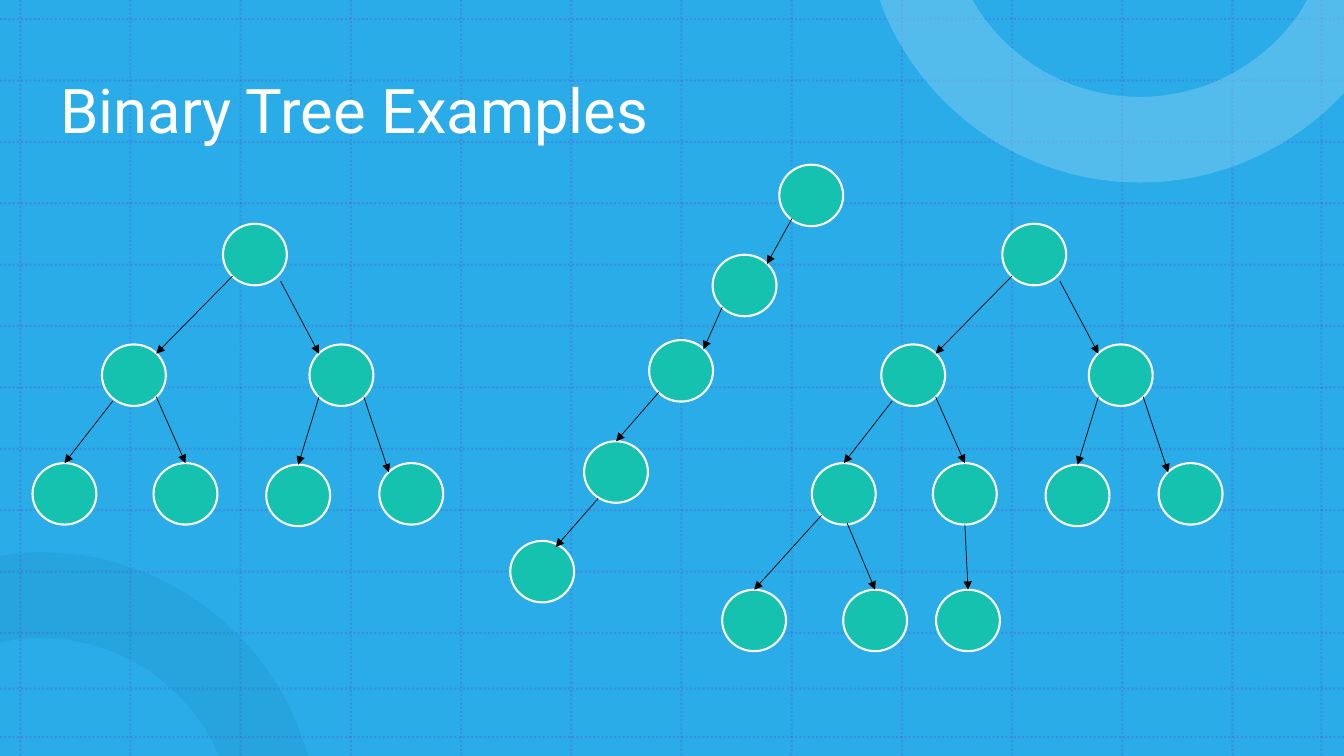
from dataclasses import dataclass

from lxml import etree
from pptx import Presentation
from pptx.dml.color import RGBColor
from pptx.enum.dml import MSO_LINE
from pptx.enum.shapes import MSO_CONNECTOR, MSO_SHAPE
from pptx.enum.text import MSO_ANCHOR, MSO_AUTO_SIZE, PP_ALIGN
from pptx.oxml.ns import qn
from pptx.shapes.autoshape import Shape
from pptx.shapes.connector import Connector
from pptx.slide import Slide, SlideMaster
from pptx.util import Cm, Pt

STRAIGHT = MSO_CONNECTOR.STRAIGHT
OVAL = MSO_SHAPE.OVAL
RECTANGLE = MSO_SHAPE.RECTANGLE
DOTTED = MSO_LINE.ROUND_DOT
MIDDLE = MSO_ANCHOR.MIDDLE
LEFT = PP_ALIGN.LEFT
NO_AUTOFIT = MSO_AUTO_SIZE.NONE

COLORS = {
    "background": "29ACE7", "grid": "8217D5", "dark_ring": "1585B7",
    "light_ring": "7FCDF1", "node": "15C1AF", "white": "FFFFFF", "arrow": "000000",
}
Point = tuple[float, float]

# Lengths in centimetres
SLIDE_W, SLIDE_H = 33.87, 19.05
NODE_W, NODE_H = 1.61, 1.55
GRID_XS = [0.51 + 30.55 * i / 11 for i in range(12)] + [33.3]
GRID_YS = [0.48 + 15.47 * i / 10 for i in range(11)] + [17.35, 18.57]

# Places on a node, as fractions of its width and height
TOP, BOTTOM = (0.5, 0), (0.5, 1)
TOP_LEFT, TOP_RIGHT = (0.15, 0.15), (0.85, 0.15)
BOTTOM_LEFT, BOTTOM_RIGHT = (0.15, 0.85), (0.85, 0.85)
LOW_LEFT, LOW_RIGHT = (0.17, 0.92), (0.9, 0.93)


@dataclass
class Ring:
    """One point in a step is a straight line, three are a Bezier curve."""
    color: str
    opacity: int
    start: Point
    steps: list[list[Point]]


@dataclass
class Edge:
    parent: str
    child: str
    start: Point
    end: Point


@dataclass
class Tree:
    root: Point
    nodes: dict[str, Point]  # offsets from the root
    edges: list[Edge]


RINGS = [
    Ring("dark_ring", 20, (1.02, 13.92), [
        [(4.17, 13.92), (6.83, 16), (7.7, 18.85)],
        [(7.77, 19.05)], [(5.51, 19.05)], [(5.51, 19.02)],
        [(4.78, 17.3), (3.05, 16.08), (1.02, 16.08)],
        [(0.69, 16.08), (0.36, 16.1), (0.05, 16.18)],
        [(-0.03, 16.18)], [(-0.03, 14.02)], [(0.3, 13.97)],
        [(0.53, 13.94), (0.79, 13.92), (1.02, 13.92)],
    ]),
    Ring("light_ring", 50, (22.17, 0), [
        [(24.51, 0)], [(24.69, 0.3)],
        [(25.58, 1.6), (27.05, 2.44), (28.73, 2.44)],
        [(30.4, 2.44), (31.88, 1.6), (32.77, 0.3)],
        [(32.94, 0)], [(33.87, 0)], [(33.87, 2.34)], [(33.68, 2.54)],
        [(32.41, 3.81), (30.66, 4.6), (28.73, 4.6)],
        [(25.83, 4.6), (23.34, 2.82), (22.28, 0.3)],
    ]),
]

FULL_NODES = {
    "root": (0, 0), "L": (-3.05, 3.04), "R": (2.18, 3.04),
    "LL": (-4.8, 6.03), "LR": (-1.75, 6.03), "RL": (1.09, 6.07), "RR": (3.94, 6.03),
}
FULL_EDGES = [
    Edge("root", "L", BOTTOM_LEFT, TOP_RIGHT),
    Edge("root", "R", LOW_RIGHT, TOP_LEFT),
    Edge("L", "LL", LOW_LEFT, TOP),
    Edge("L", "LR", BOTTOM_RIGHT, TOP),
    Edge("R", "RL", BOTTOM_LEFT, TOP),
    Edge("R", "RR", BOTTOM_RIGHT, TOP_LEFT),
]
DEEP_NODES = {"LLL": (-7.06, 9.22), "LLR": (-4.01, 9.22), "LRL": (-1.67, 9.22)}
DEEP_EDGES = [
    Edge("LL", "LLL", BOTTOM_LEFT, TOP),
    Edge("LL", "LLR", (0.55, 0.97), TOP),
    Edge("LR", "LRL", BOTTOM, TOP),
]
CHAIN_NODES = {
    "root": (0, 0), "L": (-1.68, 2.27), "LL": (-3.28, 4.42),
    "LLL": (-4.92, 6.97), "LLLL": (-6.78, 9.48),
}
CHAIN_EDGES = [
    Edge("root", "L", (0.2, 0.87), TOP_RIGHT),
    Edge("L", "LL", BOTTOM_LEFT, TOP_RIGHT),
    Edge("LL", "LLL", BOTTOM_LEFT, TOP),
    Edge("LLL", "LLLL", (0.22, 0.93), (0.71, 0.1)),
]
TREES = [
    Tree((5.62, 5.64), FULL_NODES, FULL_EDGES),
    Tree((25.26, 5.64), FULL_NODES | DEEP_NODES, FULL_EDGES + DEEP_EDGES),
    Tree((19.64, 4.15), CHAIN_NODES, CHAIN_EDGES),
]


def rgb(name: str) -> RGBColor:
    return RGBColor.from_string(COLORS[name])


def set_opacity(shape: Shape | Connector, percent: int) -> None:
    """Make the only colour set on the shape translucent."""
    color = shape.element.spPr.find(".//" + qn("a:srgbClr"))
    etree.SubElement(color, qn("a:alpha"), val=str(percent * 1000))


def fill_plain(sp: Shape, color: str) -> None:
    sp.shadow.inherit = False
    sp.fill.solid()
    sp.fill.fore_color.rgb = rgb(color)
    sp.line.fill.background()


def add_line(shapes, start: Point, end: Point, color: str, width: float) -> Connector:
    line = shapes.add_connector(STRAIGHT, *map(Cm, start + end))
    line.line.color.rgb = rgb(color)
    line.line.width = Pt(width)
    etree.SubElement(line.element.spPr, qn("a:effectLst"))
    return line


def add_grid(s: Slide) -> None:
    grid = s.shapes.add_group_shape()
    ends = [((0, y), (SLIDE_W, y)) for y in GRID_YS]
    ends += [((x, 0), (x, SLIDE_H)) for x in GRID_XS]
    for start, end in ends:
        line = add_line(grid.shapes, start, end, "grid", 1.5)
        line.line.dash_style = DOTTED
        set_opacity(line, 20)


def add_ring(s: Slide, ring: Ring) -> None:
    builder = s.shapes.build_freeform(Cm(ring.start[0]), Cm(ring.start[1]))
    builder.add_line_segments([(Cm(x), Cm(y)) for step in ring.steps for x, y in step])
    sp = builder.convert_to_shape()
    fill_plain(sp, ring.color)
    set_opacity(sp, ring.opacity)
    segments = iter(sp.element.spPr.findall(".//" + qn("a:lnTo")))
    for step in ring.steps:
        segment, *others = [next(segments) for _ in step]
        if others:
            segment.tag = qn("a:cubicBezTo")
        for other in others:
            segment.append(other[0])
            other.getparent().remove(other)


def move_to_master(s: Slide, master: SlideMaster) -> None:
    """Turn all that is drawn so far, except the title, into the master's backdrop."""
    tree = master.shapes.element
    for shape in list(s.shapes):
        if not shape.is_placeholder:
            tree.append(shape.element)
    for number, props in enumerate(tree.iter(qn("p:cNvPr")), 1):
        props.set("id", str(number))


def format_title(s: Slide, text: str) -> None:
    title = s.shapes.title
    title.left, title.top, title.width, title.height = map(Cm, (1.27, 1.02, 29.8, 3.68))
    tf = title.text_frame
    tf.text = text
    tf.auto_size = NO_AUTOFIT
    tf.vertical_anchor = MIDDLE
    p = tf.paragraphs[0]
    p.alignment = LEFT
    p.line_spacing = 0.9
    font = p.runs[0].font
    font.name, font.size = "Roboto", Pt(44)
    font.color.rgb = rgb("white")


def add_tree(s: Slide, tree: Tree) -> None:
    corners = {k: (tree.root[0] + dx, tree.root[1] + dy) for k, (dx, dy) in tree.nodes.items()}
    for x, y in corners.values():
        sp = s.shapes.add_shape(OVAL, Cm(x), Cm(y), Cm(NODE_W), Cm(NODE_H))
        fill_plain(sp, "node")
        sp.line.color.rgb = rgb("white")
        sp.line.width = Pt(1.5)
    for edge in tree.edges:
        start, end = (
            (corners[key][0] + fx * NODE_W, corners[key][1] + fy * NODE_H)
            for key, (fx, fy) in ((edge.parent, edge.start), (edge.child, edge.end))
        )
        arrow = add_line(s.shapes, start, end, "arrow", 0.5)
        etree.SubElement(arrow.element.spPr.find(qn("a:ln")), qn("a:tailEnd"), type="triangle")


def main() -> None:
    prs = Presentation()
    prs.slide_width, prs.slide_height = Cm(SLIDE_W), Cm(SLIDE_H)
    s = prs.slides.add_slide(prs.slide_layouts[5])
    fill_plain(s.shapes.add_shape(RECTANGLE, 0, 0, Cm(SLIDE_W), Cm(SLIDE_H)), "background")
    add_grid(s)
    for ring in RINGS:
        add_ring(s, ring)
    move_to_master(s, prs.slide_master)
    format_title(s, "Binary Tree Examples")
    for tree in TREES:
        add_tree(s, tree)
    prs.save("out.pptx")


if __name__ == "__main__":
    main()
